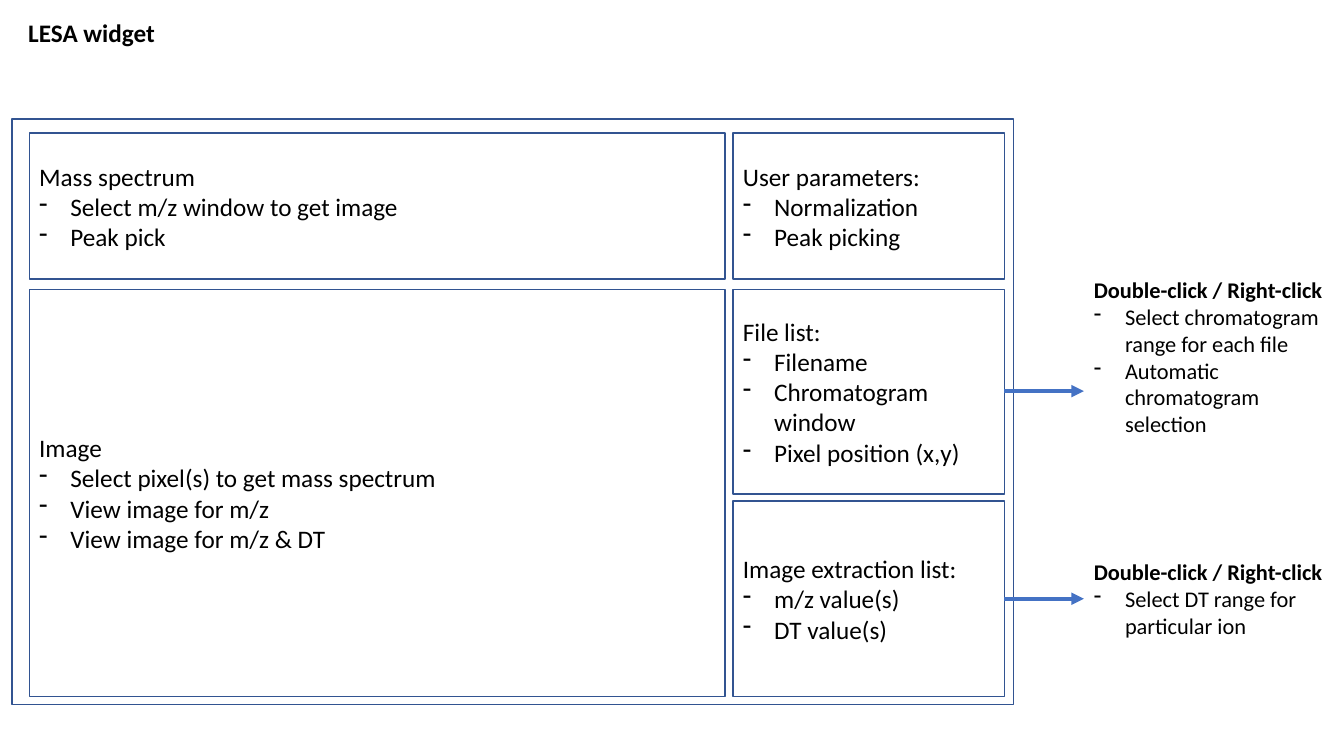
from lxml import etree
from pptx import Presentation
from pptx.dml.color import RGBColor
from pptx.enum.shapes import MSO_CONNECTOR, MSO_SHAPE
from pptx.enum.text import MSO_ANCHOR, MSO_AUTO_SIZE, PP_ALIGN
from pptx.oxml.ns import qn
from pptx.util import Inches, Pt

RECTANGLE = MSO_SHAPE.RECTANGLE
STRAIGHT = MSO_CONNECTOR.STRAIGHT
TOP, MIDDLE = MSO_ANCHOR.TOP, MSO_ANCHOR.MIDDLE
LEFT = PP_ALIGN.LEFT
NO_AUTOSIZE = MSO_AUTO_SIZE.NONE

FONT = "Calibri"
BLACK, BORDER, ARROW = "000000", "325491", "4472C4"
INDENT = 0.31

WIDE_LEFT, WIDE_WIDTH = 0.29, 6.9
SIDE_LEFT, SIDE_WIDTH = 7.27, 2.69
NOTE_LEFT, NOTE_WIDTH = 10.75, 2.49
UPPER_TOP, UPPER_HEIGHT = 1.32, 1.45
LOWER_TOP, LOWER_HEIGHT = 2.87, 4.04

PANELS = [
    (WIDE_LEFT, UPPER_TOP, WIDE_WIDTH, UPPER_HEIGHT, "Mass spectrum",
     ["Select m/z window to get image", "Peak pick"]),
    (WIDE_LEFT, LOWER_TOP, WIDE_WIDTH, LOWER_HEIGHT, "Image",
     ["Select pixel(s) to get mass spectrum", "View image for m/z",
      "View image for m/z & DT"]),
    (SIDE_LEFT, UPPER_TOP, SIDE_WIDTH, UPPER_HEIGHT, "User parameters:",
     ["Normalization", "Peak picking"]),
    (SIDE_LEFT, LOWER_TOP, SIDE_WIDTH, 2.03, "File list:",
     ["Filename", "Chromatogram window", "Pixel position (x,y)"]),
    (SIDE_LEFT, 4.97, SIDE_WIDTH, 1.94, "Image extraction list:",
     ["m/z value(s)", "DT value(s)"]),
]
NOTES = [
    (3.88, 2.69, 1.72, ["Select chromatogram range for each file",
                        "Automatic chromatogram selection"]),
    (5.94, 5.49, 0.91, ["Select DT range for particular ion"]),
]


def color(value):
    """Return the colour for a hex string."""
    return RGBColor.from_string(value)


def format_paragraph(para, size, bold=False):
    """Left-align a paragraph and style its runs."""
    para.alignment = LEFT
    for span in para.runs:
        span.font.name = FONT
        span.font.size = Pt(size)
        span.font.bold = bold
        span.font.color.rgb = color(BLACK)


def add_dash(para):
    """Give a paragraph a hanging dash bullet."""
    properties = para._p.get_or_add_pPr()
    properties.set("marL", str(Inches(INDENT)))
    properties.set("indent", str(-Inches(INDENT)))
    etree.SubElement(properties, qn("a:buFontTx"))
    etree.SubElement(properties, qn("a:buChar")).set("char", "-")


def fill_list(frame, heading, items, size, bold=False):
    """Write a heading followed by dashed items."""
    frame.word_wrap = True
    frame.text = "\n".join([heading, *items])
    first, *rest = frame.paragraphs
    format_paragraph(first, size, bold)
    for para in rest:
        format_paragraph(para, size)
        add_dash(para)


def add_frame(page, left, top, width, height):
    """Add an outlined rectangle without fill."""
    box = page.shapes.add_shape(RECTANGLE, Inches(left), Inches(top),
                                Inches(width), Inches(height))
    box.shadow.inherit = False
    box.fill.background()
    box.line.color.rgb = color(BORDER)
    box.line.width = Pt(1)
    return box


def add_panel(page, left, top, width, height, heading, items):
    """Add a widget panel with its list."""
    frame = add_frame(page, left, top, width, height).text_frame
    frame.vertical_anchor = MIDDLE
    fill_list(frame, heading, items, 18)


def add_arrow(page, start, end, y):
    """Add a horizontal arrow pointing right."""
    arrow = page.shapes.add_connector(STRAIGHT, Inches(start), Inches(y),
                                      Inches(end), Inches(y))
    arrow.line.color.rgb = color(ARROW)
    arrow.line.width = Pt(3)
    etree.SubElement(arrow.line._get_or_add_ln(), qn("a:tailEnd")).set("type", "triangle")
    etree.SubElement(arrow._element.spPr, qn("a:effectLst"))


def add_note(page, top, height, items):
    """Add a click note beside the widget."""
    box = page.shapes.add_textbox(Inches(NOTE_LEFT), Inches(top),
                                  Inches(NOTE_WIDTH), Inches(height))
    fill_list(box.text_frame, "Double-click / Right-click", items, 16, bold=True)


def set_title(page, text):
    """Place and style the slide title."""
    title = page.shapes.title
    title.left, title.top = Inches(0.18), Inches(0.12)
    title.width, title.height = Inches(1.47), Inches(0.4)
    frame = title.text_frame
    frame.text = text
    frame.word_wrap = False
    frame.auto_size = NO_AUTOSIZE
    frame.vertical_anchor = TOP
    format_paragraph(frame.paragraphs[0], 18, bold=True)


def main():
    """Build the widget layout slide."""
    deck = Presentation()
    deck.slide_width, deck.slide_height = Inches(13.33), Inches(7.5)
    page = deck.slides.add_slide(deck.slide_layouts[5])
    set_title(page, "LESA widget")
    add_frame(page, 0.12, 1.18, 9.93, 5.81)
    for panel in PANELS:
        add_panel(page, *panel)
    for arrow_y, top, height, items in NOTES:
        add_arrow(page, SIDE_LEFT + SIDE_WIDTH, NOTE_LEFT, arrow_y)
        add_note(page, top, height, items)
    deck.save("out.pptx")


if __name__ == "__main__":
    main()
